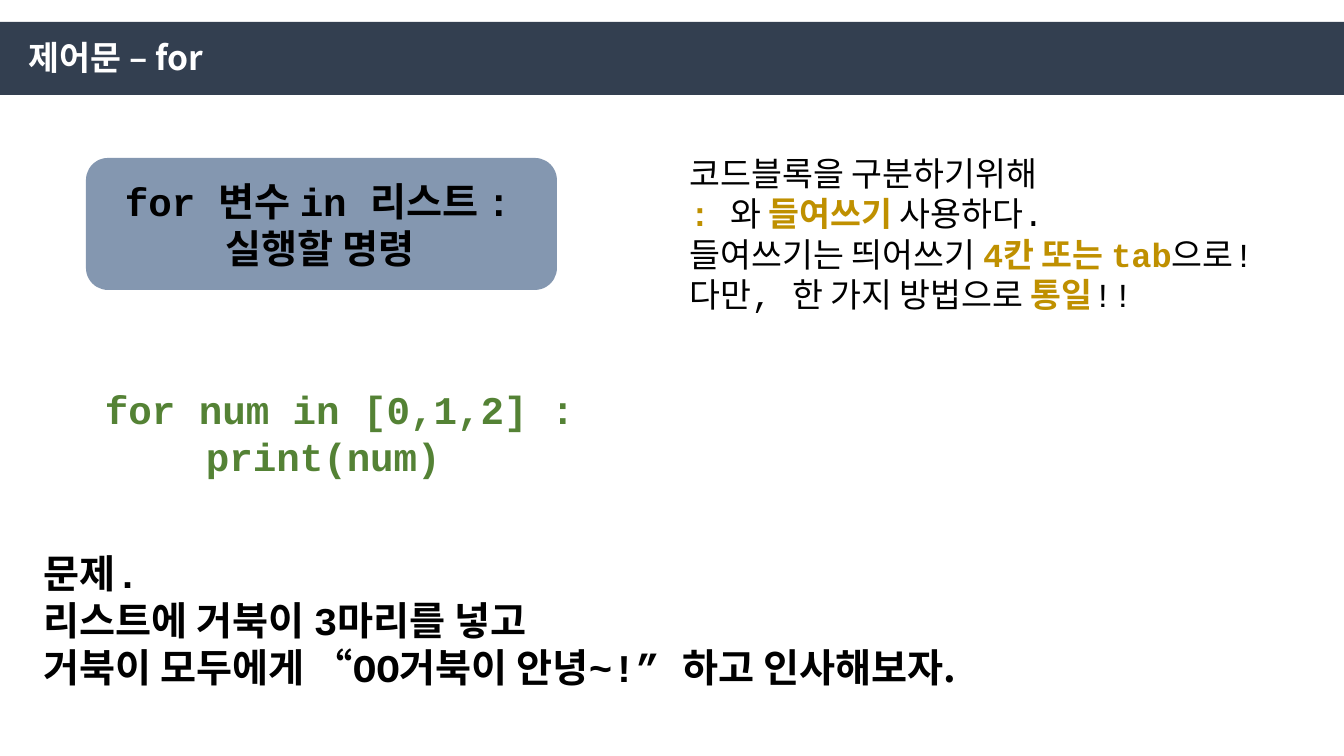
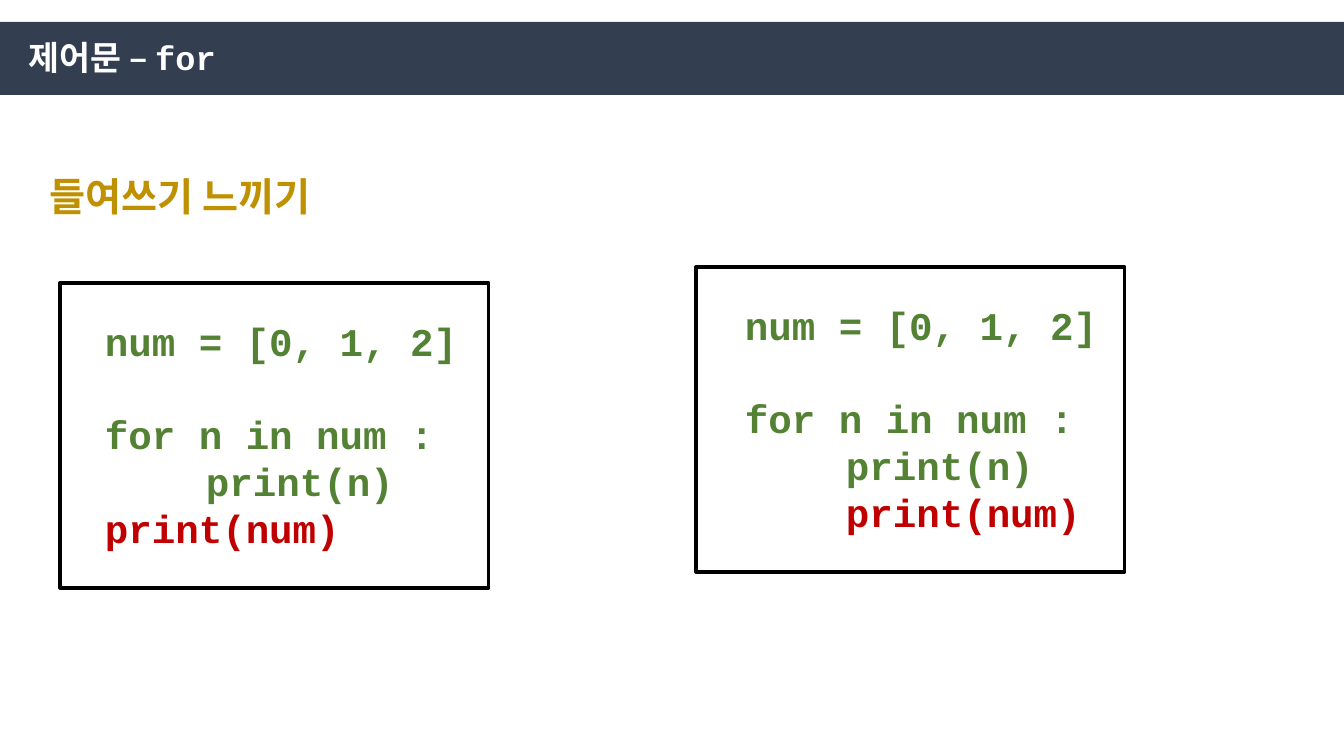
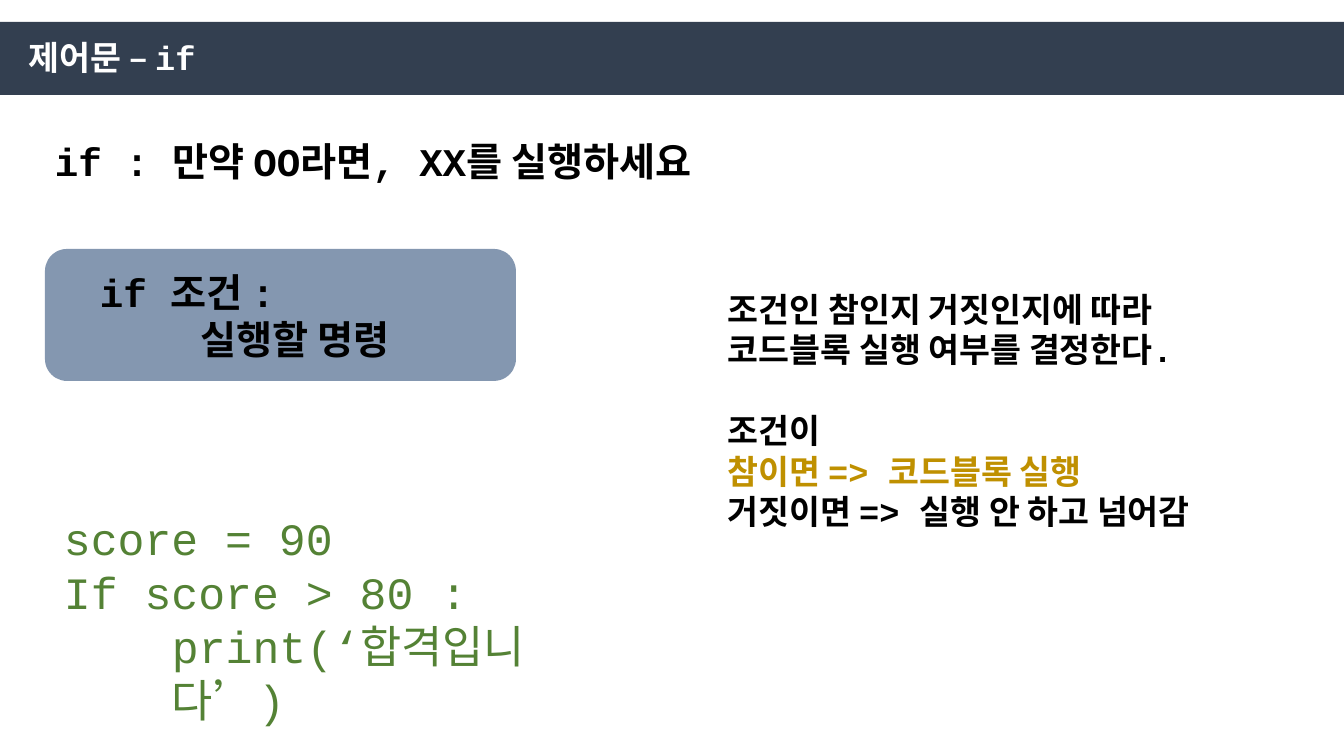
from dataclasses import dataclass

from lxml.etree import SubElement
from pptx import Presentation
from pptx.dml.color import RGBColor
from pptx.enum.shapes import MSO_SHAPE as Shape
from pptx.enum.text import MSO_AUTO_SIZE as AutoSize
from pptx.oxml.ns import qn
from pptx.util import Pt

EMU_PER_PIXEL = 914400 / 100.8
WIDTH, HEIGHT = 1344, 756
TAB = 101
LINE_RATIO = 1.19
MONO, KOREAN = "Courier New", "Noto Sans CJK KR"
COLORS = {
    "band": "333F50",
    "card": "8497B0",
    "title": "FFFFFF",
    "body": "000000",
    "accent": "BF9000",
    "code": "548235",
    "warning": "C00000",
}


@dataclass
class Style:
    size: int
    color: str = "body"
    bold: bool = True
    font: str = MONO


@dataclass
class Line:
    runs: list
    indent: int = 0
    after_gap: bool = False


def px(length):
    return round(length * EMU_PER_PIXEL)


def rgb(name):
    return RGBColor.from_string(COLORS[name])


def add_run(paragraph, text, style):
    run = paragraph.add_run()
    run.text = text
    run.font.size = Pt(style.size)
    run.font.bold = style.bold
    run.font.name = style.font
    run.font.color.rgb = rgb(style.color)
    SubElement(run.font._element, qn("a:ea")).set("typeface", KOREAN)


def add_text(slide, box, style, lines):
    frame = slide.shapes.add_textbox(*map(px, box)).text_frame
    frame.word_wrap = True
    frame.auto_size = AutoSize.SHAPE_TO_FIT_TEXT
    for index, line in enumerate(lines):
        if isinstance(line, str):
            line = Line([line])
        paragraph = frame.add_paragraph() if index else frame.paragraphs[0]
        if line.indent:
            properties = paragraph._p.get_or_add_pPr()
            properties.set("marL", str(px(line.indent)))
            properties.set("indent", "0")
        if line.after_gap:
            paragraph.space_before = Pt(round(style.size * LINE_RATIO))
        for run in line.runs:
            text, run_style = (run, style) if isinstance(run, str) else run
            add_run(paragraph, text, run_style)


def add_panel(slide, kind, box, fill=None, outline=None):
    panel = slide.shapes.add_shape(kind, *map(px, box))
    panel.shadow.inherit = False
    if fill:
        panel.fill.solid()
        panel.fill.fore_color.rgb = rgb(fill)
    else:
        panel.fill.background()
    if outline:
        panel.line.color.rgb = rgb(outline)
        panel.line.width = Pt(2.25)
    else:
        panel.line.fill.background()


def start_slide(deck, title, font=MONO):
    slide = deck.slides.add_slide(deck.slide_layouts[6])
    add_panel(slide, Shape.RECTANGLE, (0, 22, WIDTH, 73), fill="band")
    add_text(slide, (19, 32, 1000, 50), Style(24, "title", font=font), [title])
    return slide


def add_syntax_card(slide, left, top, inset, text_width, header):
    add_panel(slide, Shape.ROUNDED_RECTANGLE, (left, top, 471, 132), fill="card")
    add_text(slide, (left + inset, top + 14, text_width, 105), Style(28),
             [header, Line(["실행할 명령"], indent=TAB)])


def add_code_frame(slide, left, top, inset, last_indent):
    add_text(slide, (left + inset, top + 29, 661, 248), Style(28, "code"), [
        "num = [0, 1, 2]",
        Line(["for n in num :"], after_gap=True),
        Line(["print(n)"], indent=TAB),
        Line([("print(num)", Style(28, "warning"))], indent=last_indent),
    ])
    add_panel(slide, Shape.RECTANGLE, (left, top, 429, 305), outline="body")


def build_for_syntax(deck):
    slide = start_slide(deck, "제어문 – for", KOREAN)
    add_syntax_card(slide, 86, 158, 29, 484, "for 변수 in 리스트 :")
    accent = Style(24, "accent")
    add_text(slide, (680, 148, 698, 173), Style(24, bold=False), [
        "코드블록을 구분하기위해",
        Line([(": ", accent), "와 ", ("들여쓰기", accent), " 사용하다."]),
        Line(["들여쓰기는 띄어쓰기 ", ("4칸 또는 tab", accent), "으로!"]),
        Line(["다만, 한 가지 방법으로 ", ("통일", accent), "!!"]),
    ])
    add_text(slide, (95, 380, 698, 105), Style(28, "code"),
             ["for num in [0,1,2] :", Line(["print(num)"], indent=TAB)])
    add_text(slide, (34, 544, 1189, 152), Style(28), [
        "문제.",
        "리스트에 거북이 3마리를 넣고",
        Line(["거북이 모두에게 “OO거북이 안녕~!” 하고 인사해보자",
              (".", Style(28, font=KOREAN))]),
    ])


def build_indentation(deck):
    slide = start_slide(deck, "제어문 – for")
    add_text(slide, (40, 167, 717, 57), Style(28, "accent", font=KOREAN),
             ["들여쓰기 느끼기"])
    add_code_frame(slide, 60, 283, 35, 0)
    add_code_frame(slide, 696, 267, 39, TAB)


def build_if_syntax(deck):
    slide = start_slide(deck, "제어문 – if")
    add_syntax_card(slide, 45, 249, 45, 582, "if 조건 :")
    add_text(slide, (718, 284, 641, 254), Style(24), [
        "조건인 참인지 거짓인지에 따라",
        "코드블록 실행 여부를 결정한다.",
        Line(["조건이"], after_gap=True),
        Line([("참이면 => 코드블록 실행", Style(24, "accent"))]),
        "거짓이면 => 실행 안 하고 넘어감",
    ])
    add_text(slide, (54, 506, 592, 173), Style(32, "code", bold=False), [
        "score = 90",
        "If score > 80 :",
        Line(["print(‘합격입니다’)"], indent=108),
    ])
    add_text(slide, (45, 132, 750, 57), Style(28),
             ["if : 만약 OO라면, XX를 실행하세요"])


deck = Presentation()
deck.slide_width, deck.slide_height = px(WIDTH), px(HEIGHT)
for build in (build_for_syntax, build_indentation, build_if_syntax):
    build(deck)
deck.save("out.pptx")
